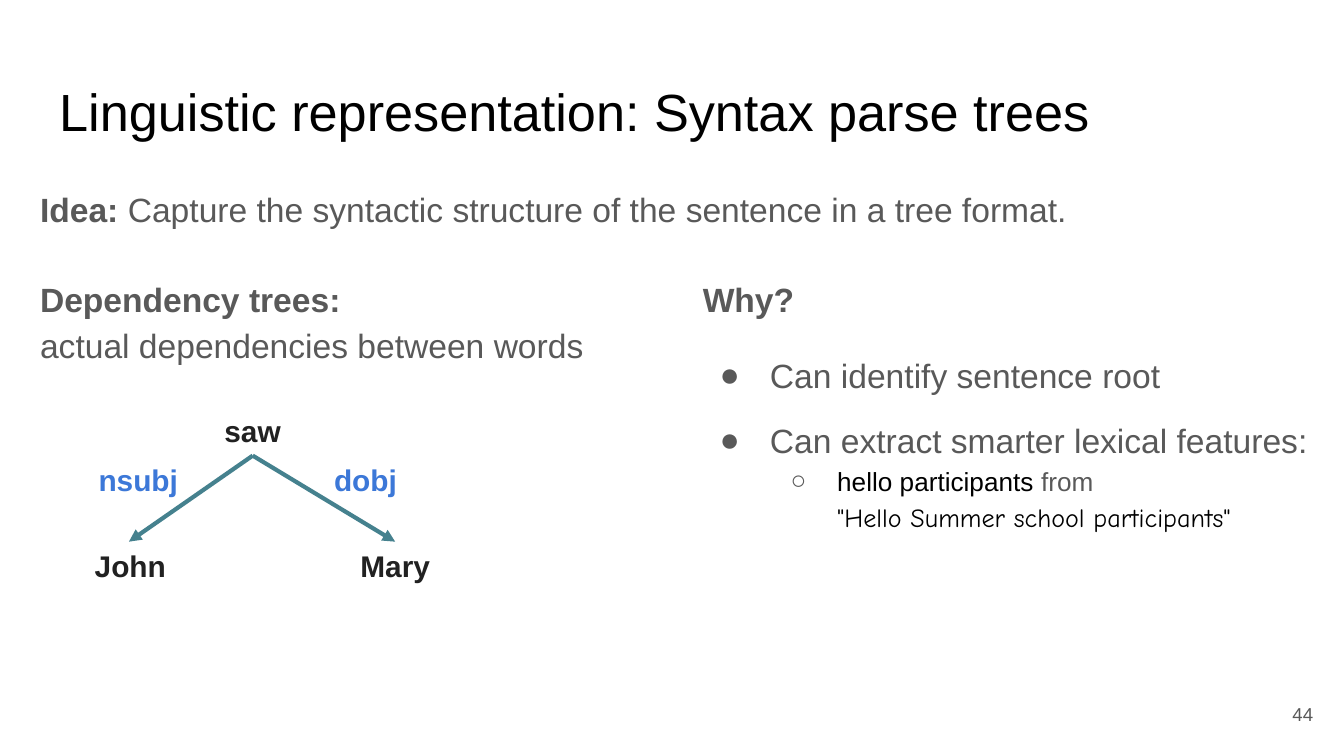
from lxml import etree
from pptx import Presentation
from pptx.dml.color import RGBColor
from pptx.enum import shapes, text
from pptx.oxml import ns
from pptx.util import Pt

BLACK = RGBColor(0, 0, 0)
GREY = RGBColor(0x59, 0x59, 0x59)
DARK = RGBColor(0x21, 0x21, 0x21)
BLUE = RGBColor(0x3C, 0x78, 0xD8)
TEAL = RGBColor(0x45, 0x81, 0x8E)

LEFT = text.PP_ALIGN.LEFT
CENTER = text.PP_ALIGN.CENTER
RIGHT = text.PP_ALIGN.RIGHT
TOP = text.MSO_ANCHOR.TOP
MIDDLE = text.MSO_ANCHOR.MIDDLE


def node(parent, tag, **attrs):
    return etree.SubElement(parent, ns.qn(tag), **attrs)


def write(para, words, size=18, color=GREY, bold=False, face="Arial"):
    for i, part in enumerate(words.split("\n")):
        if i:
            para.add_line_break()
        if part:
            run = para.add_run()
            run.text = part
            font = run.font
            font.size = Pt(size)
            font.bold = bold
            font.name = face
            font.color.rgb = color


def frame(shape, anchor=TOP):
    body = shape.text_frame
    body.word_wrap = True
    body.auto_size = text.MSO_AUTO_SIZE.NONE
    body.vertical_anchor = anchor
    body.margin_left = body.margin_right = Pt(7.2)
    body.margin_top = body.margin_bottom = Pt(7.2)
    return body


def box(slide, left, top, width, height, anchor=TOP):
    shape = slide.shapes.add_textbox(Pt(left), Pt(top), Pt(width), Pt(height))
    return frame(shape, anchor)


def head(slide, words):
    title = slide.shapes.title
    title.left, title.top = Pt(24.5), Pt(35.3)
    title.width, title.height = Pt(671), Pt(45.4)
    para = frame(title).paragraphs[0]
    para.alignment = LEFT
    write(para, words, size=28, color=BLACK)


def label(slide, words, left, top, color=DARK):
    para = box(slide, left, top, 66.2, 25.2, MIDDLE).paragraphs[0]
    para.alignment = CENTER
    write(para, words, size=16, color=color, bold=True)


def lead(slide, bold, plain, top, width, height):
    para = box(slide, 14.4, top, width, height).paragraphs[0]
    para.line_spacing = 1.15
    write(para, bold, bold=True)
    write(para, plain)


def arrow(slide, start, end):
    line = slide.shapes.add_connector(
        shapes.MSO_CONNECTOR.STRAIGHT, *map(Pt, start + end))
    line.line.color.rgb = TEAL
    line.line.width = Pt(2.25)
    node(line.line._get_or_add_ln(), "a:tailEnd", type="triangle")
    node(line._element.spPr, "a:effectLst")


def bullet(body, mark, indent, hang, before=0, level=0):
    para = body.add_paragraph()
    para.level = level
    props = para._p.get_or_add_pPr()
    props.set("marL", str(Pt(indent)))
    props.set("indent", str(-Pt(hang)))
    node(node(props, "a:buClr"), "a:srgbClr", val=str(GREY))
    node(props, "a:buFont", typeface="Arial")
    node(props, "a:buChar", char=mark)
    para.line_spacing = 1.15
    para.space_before = Pt(before)
    return para


def tree(slide):
    root = (135.4, 244.1)
    label(slide, "saw", 102.2, 218.2)
    for word, left, tip, role, side in (
            ("John", 36.7, 69.1, "nsubj", 41),
            ("Mary", 178.6, 211.7, "dobj", 162.7)):
        label(slide, word, left, 290.2)
        arrow(slide, root, (tip, 290.2))
        label(slide, role, side, 244.1, BLUE)


def reasons(slide):
    body = box(slide, 369.4, 139, 339.1, 209.5)
    para = body.paragraphs[0]
    para.line_spacing = 1.15
    write(para, "Why?", bold=True)
    write(bullet(body, "●", 36, 27, 16), "Can identify sentence root")
    write(bullet(body, "●", 36, 27, 10),
          "Can extract smarter lexical features:")
    para = bullet(body, "○", 72, 25, level=1)
    write(para, "hello participants", size=14, color=BLACK)
    write(para, " from \n", size=14)
    write(para, "\"Hello Summer school participants\"", size=14,
          color=BLACK, face="Comic Neue")


def main():
    deck = Presentation()
    deck.slide_width, deck.slide_height = Pt(720), Pt(405)
    slide = deck.slides.add_slide(deck.slide_layouts[5])
    head(slide, "Linguistic representation: Syntax parse trees")
    lead(slide, "Idea: ",
         "Capture the syntactic structure of the sentence in a tree format.",
         90.7, 691.2, 45.4)
    lead(slide, "Dependency trees:\n", "actual dependencies between words",
         139, 326.9, 62.6)
    tree(slide)
    reasons(slide)
    page = box(slide, 667.4, 367.2, 43.2, 31, MIDDLE).paragraphs[0]
    page.alignment = RIGHT
    write(page, "44", size=10)
    deck.save("out.pptx")


if __name__ == "__main__":
    main()
